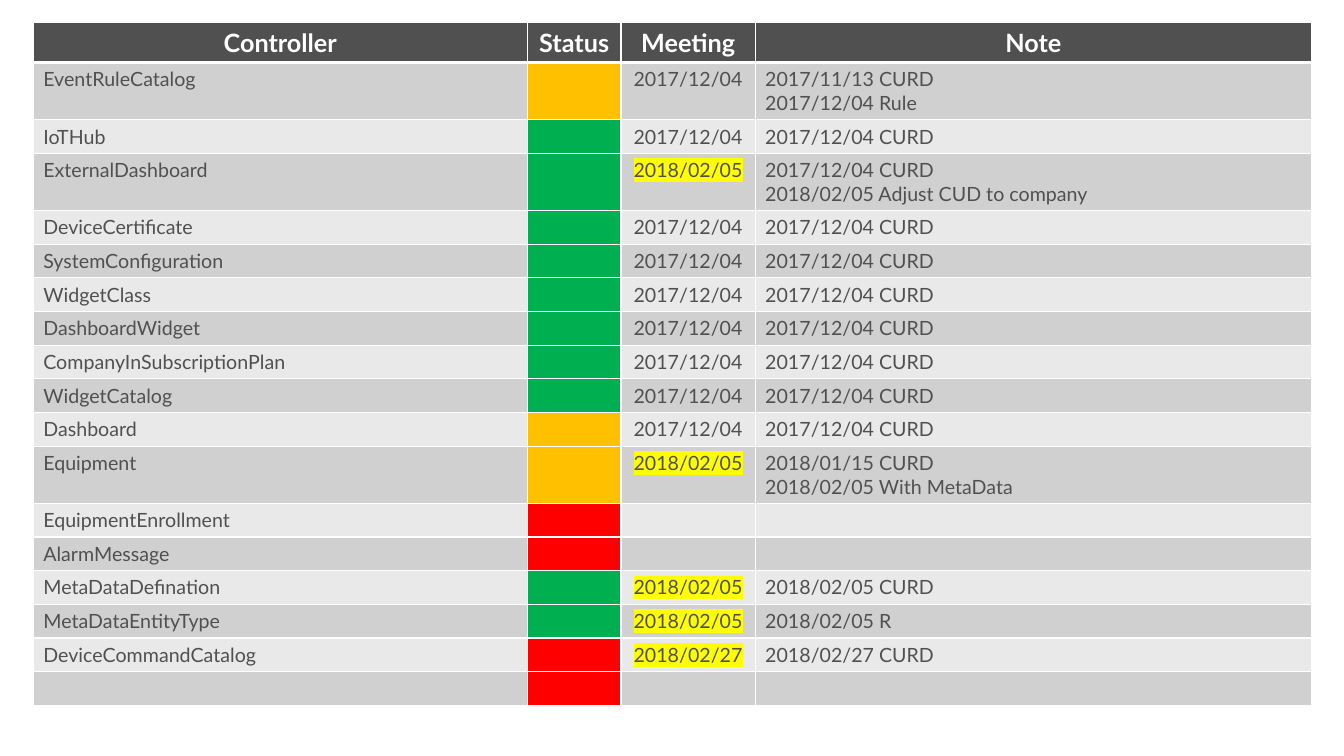
"""Build a controller status table slide."""
from dataclasses import dataclass

from lxml import etree
from pptx import Presentation
from pptx.dml.color import RGBColor
from pptx.enum.text import PP_ALIGN
from pptx.oxml.ns import qn
from pptx.table import _Cell
from pptx.util import Inches, Pt

FONT = "Lato"
WHITE, GREY, YELLOW = "FFFFFF", "505050", "FFFF00"
BANDS = ("D0D0D0", "E9E9E9")
AMBER, GREEN, RED = "FFC000", "00B050", "FF0000"
HEADINGS = ("Controller", "Status", "Meeting", "Note")
COLUMN_WIDTHS = (4.9, 0.93, 1.33, 5.52)
HEADER_HEIGHT, LINE_HEIGHT, CELL_PADDING = 0.38, 0.23, 0.1
DECEMBER, FEBRUARY = "2017/12/04", "2018/02/05"


@dataclass(frozen=True)
class Controller:
    """One controller and its review state."""
    name: str
    status: str
    meeting: str = ""
    note: str = ""
    highlighted: bool = False


@dataclass(frozen=True)
class CellStyle:
    """Look of one table cell."""
    fill: str
    size: int = 14
    color: str = GREY
    bold: bool = False
    centered: bool = False
    highlighted: bool = False
    top: int = 1
    bottom: int = 1


CURD = f"{DECEMBER} CURD"
CONTROLLERS = (
    Controller("EventRuleCatalog", AMBER, DECEMBER, f"2017/11/13 CURD\n{DECEMBER} Rule"),
    Controller("IoTHub", GREEN, DECEMBER, CURD),
    Controller("ExternalDashboard", GREEN, FEBRUARY,
               f"{CURD}\n{FEBRUARY} Adjust CUD to company", True),
    *(Controller(name, GREEN, DECEMBER, CURD) for name in (
        "DeviceCertificate", "SystemConfiguration", "WidgetClass",
        "DashboardWidget", "CompanyInSubscriptionPlan", "WidgetCatalog")),
    Controller("Dashboard", AMBER, DECEMBER, CURD),
    Controller("Equipment", AMBER, FEBRUARY,
               f"2018/01/15 CURD\n{FEBRUARY} With MetaData", True),
    Controller("EquipmentEnrollment", RED),
    Controller("AlarmMessage", RED),
    Controller("MetaDataDefination", GREEN, FEBRUARY, f"{FEBRUARY} CURD", True),
    Controller("MetaDataEntityType", GREEN, FEBRUARY, f"{FEBRUARY} R", True),
    Controller("DeviceCommandCatalog", RED, "2018/02/27", "2018/02/27 CURD", True),
    Controller("", RED),
)


def rgb(color: str) -> RGBColor:
    """Turn a hex string into a colour."""
    return RGBColor.from_string(color)


def add_border(cell: _Cell, side: str, width: int) -> None:
    """Add a white border on one side of a cell."""
    line = etree.SubElement(cell._tc.get_or_add_tcPr(), qn(f"a:ln{side}"), w=str(Pt(width)))
    fill = etree.SubElement(line, qn("a:solidFill"))
    etree.SubElement(fill, qn("a:srgbClr"), val=WHITE)


def write_cell(cell: _Cell, text: str, style: CellStyle) -> None:
    """Fill a cell with text, borders and colour."""
    for side, width in (("L", 1), ("R", 1), ("T", style.top), ("B", style.bottom)):
        add_border(cell, side, width)
    cell.fill.solid()
    cell.fill.fore_color.rgb = rgb(style.fill)
    cell.text_frame.text = text
    for paragraph in cell.text_frame.paragraphs:
        paragraph.alignment = PP_ALIGN.CENTER if style.centered else PP_ALIGN.LEFT
        for run in paragraph.runs:
            font = run.font
            font.name, font.size, font.bold = FONT, Pt(style.size), style.bold
            font.color.rgb = rgb(style.color)
            if style.highlighted:
                mark = etree.Element(qn("a:highlight"))
                etree.SubElement(mark, qn("a:srgbClr"), val=YELLOW)
                run._r.rPr.find(qn("a:solidFill")).addnext(mark)
        if not paragraph.runs:
            end = etree.SubElement(paragraph._p, qn("a:endParaRPr"), sz=str(style.size * 100))
            etree.SubElement(end, qn("a:latin"), typeface=FONT)


def row_height(controller: Controller) -> float:
    """Return the row height that the note lines need."""
    return CELL_PADDING + LINE_HEIGHT * (controller.note.count("\n") + 1)


def main() -> None:
    """Create and save the slide."""
    deck = Presentation()
    deck.slide_width, deck.slide_height = Inches(13.33), Inches(7.5)
    slide = deck.slides.add_slide(deck.slide_layouts[6])
    heights = [HEADER_HEIGHT, *map(row_height, CONTROLLERS)]
    table = slide.shapes.add_table(
        len(heights), len(HEADINGS), Inches(0.33), Inches(0.22),
        Inches(sum(COLUMN_WIDTHS)), Inches(sum(heights))).table
    for column, width in zip(table.columns, COLUMN_WIDTHS):
        column.width = Inches(width)
    for row, height in zip(table.rows, heights):
        row.height = Inches(height)
    header = CellStyle(GREY, 18, WHITE, bold=True, centered=True, bottom=3)
    for column, heading in enumerate(HEADINGS):
        write_cell(table.cell(0, column), heading, header)
    for index, item in enumerate(CONTROLLERS):
        band, top = BANDS[index % 2], 1 if index else 3
        plain = CellStyle(band, top=top)
        meeting = CellStyle(band, centered=True, highlighted=item.highlighted, top=top)
        cells = ((item.name, plain), ("", CellStyle(item.status, top=top)),
                 (item.meeting, meeting), (item.note, plain))
        for column, (text, style) in enumerate(cells):
            write_cell(table.cell(index + 1, column), text, style)
    deck.save("out.pptx")


main()
